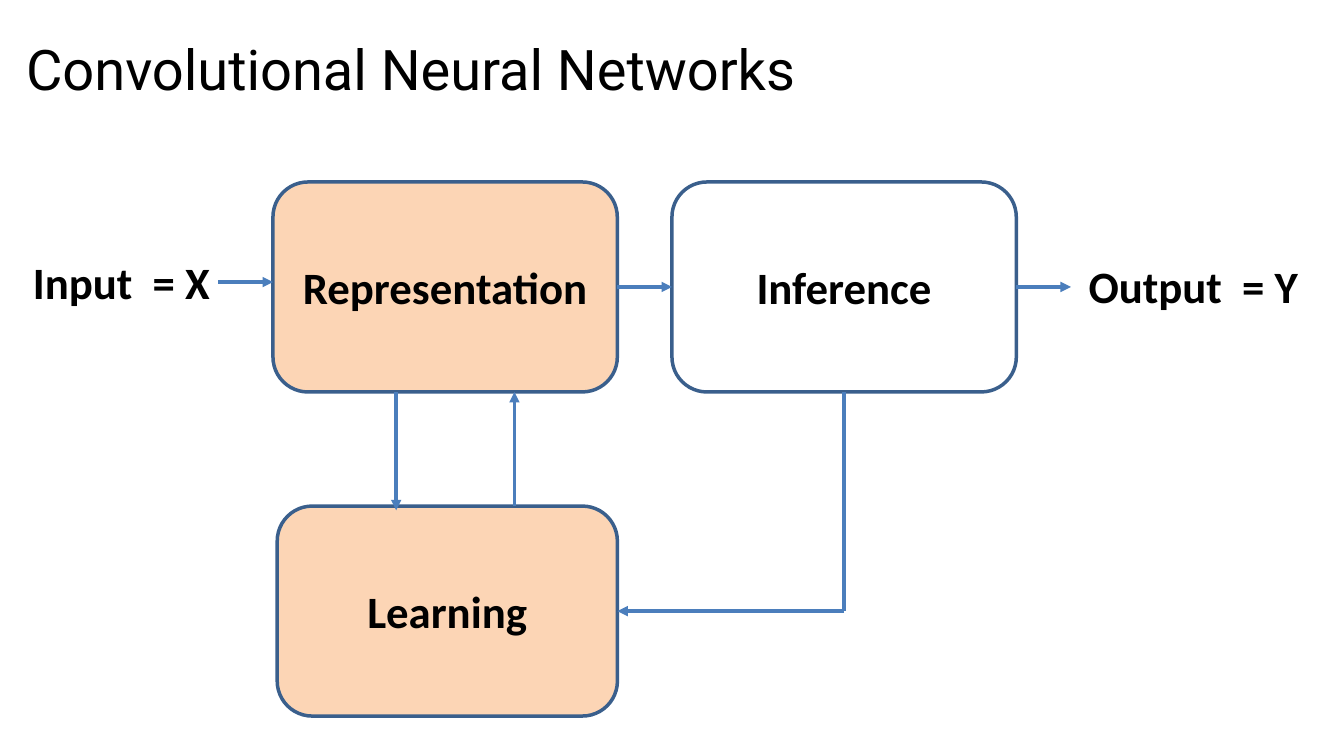
from lxml import etree
from pptx import Presentation
from pptx.dml.color import RGBColor
from pptx.enum.shapes import MSO_CONNECTOR, MSO_SHAPE
from pptx.enum.text import MSO_ANCHOR, PP_ALIGN
from pptx.oxml.ns import qn
from pptx.util import Pt

STRAIGHT = MSO_CONNECTOR.STRAIGHT
ROUNDED = MSO_SHAPE.ROUNDED_RECTANGLE
MIDDLE, TOP = MSO_ANCHOR.MIDDLE, MSO_ANCHOR.TOP
CENTER, LEFT = PP_ALIGN.CENTER, PP_ALIGN.LEFT
SIDE_LEFT, SIDE_BOTTOM, SIDE_RIGHT = 1, 2, 3
PEACH, OUTLINE, ARROW, BLACK = "FCD5B5", "3A5F8C", "4B7EBC", "000000"
LINE_WIDTH = 2.5


def color(hex_value):
    return RGBColor.from_string(hex_value)


def write(shape, text, size=32, font="Calibri", bold=True, align=LEFT,
          anchor=TOP, spacing=None, wrap=True):
    frame = shape.text_frame
    frame.word_wrap = wrap
    frame.vertical_anchor = anchor
    para = frame.paragraphs[0]
    para.alignment = align
    if spacing:
        para.line_spacing = spacing
    span = para.add_run()
    span.text = text
    span.font.size = Pt(size)
    span.font.name = font
    span.font.bold = bold
    span.font.color.rgb = color(BLACK)


def add_label(page, box, text, **text_format):
    label = page.shapes.add_textbox(*map(Pt, box))
    write(label, text, **text_format)


def add_stage(page, box, text, fill=None):
    stage = page.shapes.add_shape(ROUNDED, *map(Pt, box))
    stage.shadow.inherit = False
    if fill:
        stage.fill.solid()
        stage.fill.fore_color.rgb = color(fill)
    else:
        stage.fill.background()
    stage.line.color.rgb = color(OUTLINE)
    stage.line.width = Pt(LINE_WIDTH)
    write(stage, text, align=CENTER, anchor=MIDDLE)
    return stage


def add_link(page, start, end, source=None, target=None, arrow=True):
    link = page.shapes.add_connector(STRAIGHT, *map(Pt, start + end))
    if source:
        link.begin_connect(*source)
    if target:
        link.end_connect(*target)
    link.line.color.rgb = color(ARROW)
    link.line.width = Pt(LINE_WIDTH)
    if arrow:
        line = link.line._get_or_add_ln()
        etree.SubElement(line, qn("a:tailEnd"), type="triangle")
    etree.SubElement(link._element.spPr, qn("a:effectLst"))


def add_diagram(page, box):
    left, top, width, height = box
    stage_width, stage_height, gap = 246, 150, 39
    middle = top + stage_height / 2
    bottom = top + stage_height
    inference_left = left + stage_width + gap
    inference_right = inference_left + stage_width
    inference_center = inference_left + stage_width / 2
    learning_left, learning_width = left + 3, 243
    learning_top = top + height - stage_height
    learning_right = learning_left + learning_width
    learning_middle = learning_top + stage_height / 2

    representation = add_stage(
        page, (left, top, stage_width, stage_height), "Representation", PEACH)
    learning = add_stage(
        page, (learning_left, learning_top, learning_width, stage_height),
        "Learning", PEACH)
    inference = add_stage(
        page, (inference_left, top, stage_width, stage_height), "Inference")

    add_link(page, (left - gap, middle - 3.5), (left, middle - 3.5))
    add_link(page, (left + stage_width, middle), (inference_left, middle),
             (representation, SIDE_RIGHT), (inference, SIDE_LEFT))
    add_link(page, (inference_right, middle), (inference_right + gap, middle),
             (inference, SIDE_RIGHT))
    add_link(page, (left + 88, bottom), (left + 88, learning_top + 3))
    add_link(page, (left + 172.5, learning_top), (left + 172.5, bottom))
    add_link(page, (inference_center, bottom),
             (inference_center, learning_middle),
             (inference, SIDE_BOTTOM), arrow=False)
    add_link(page, (inference_center, learning_middle),
             (learning_right, learning_middle), target=(learning, SIDE_RIGHT))


def main():
    deck = Presentation()
    deck.slide_width, deck.slide_height = Pt(960), Pt(540)
    page = deck.slides.add_slide(deck.slide_layouts[6])
    add_label(page, (11.5, 26, 937.5, 54), "Convolutional Neural Networks",
              size=40, font="Roboto", bold=False, anchor=MIDDLE, spacing=0.8)
    add_label(page, (16.5, 178.5, 147, 46), "Input  = X", wrap=False)
    add_diagram(page, (195, 130, 531, 381.5))
    add_label(page, (770.5, 181, 175, 46), "Output  = Y", wrap=False)
    deck.save("out.pptx")


if __name__ == "__main__":
    main()
